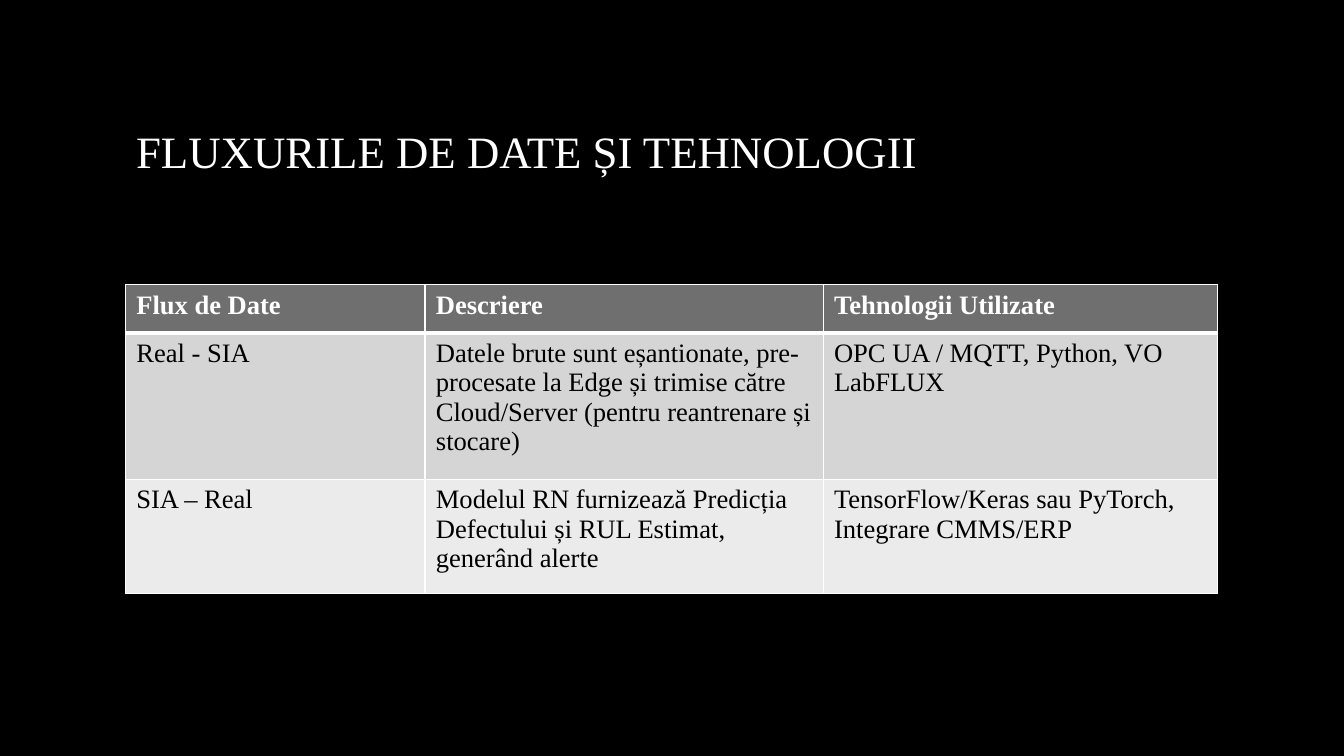
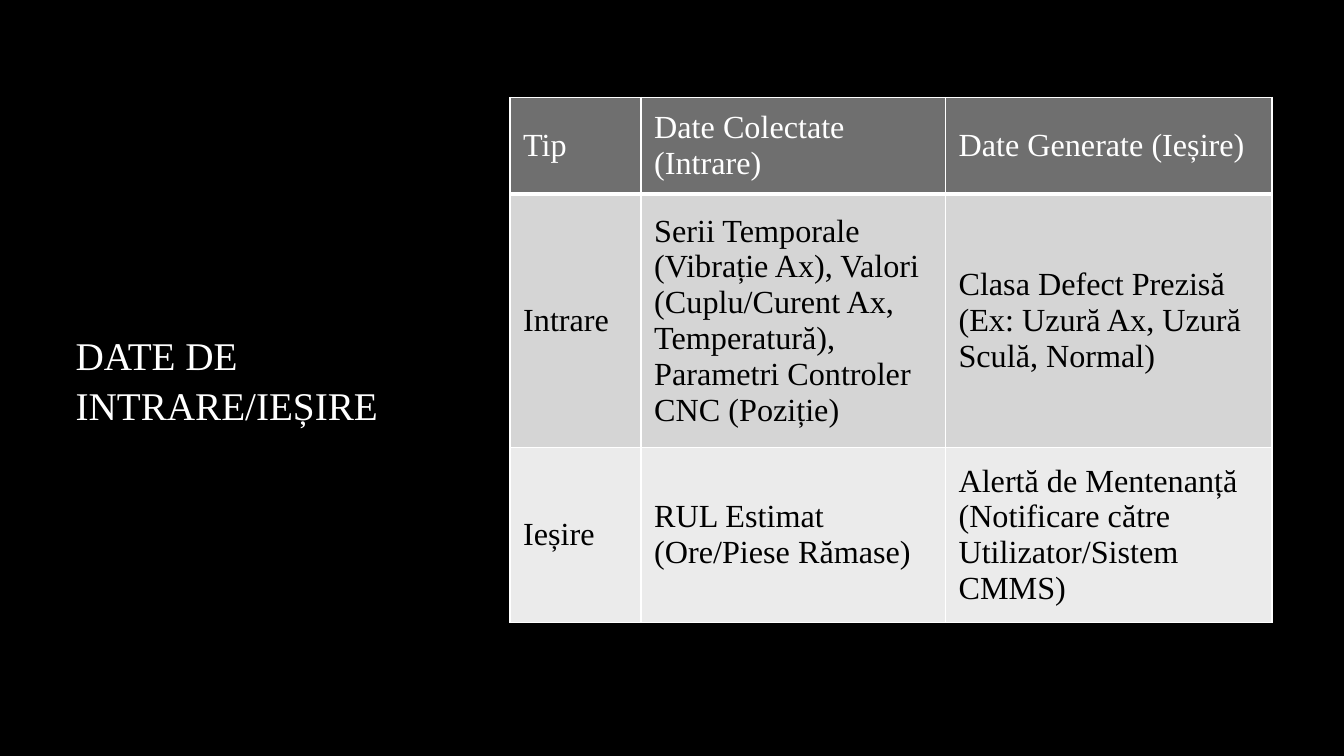
import pptx
import pptx.dml.color
import pptx.enum.text
import pptx.oxml
import pptx.oxml.ns
import pptx.util

Pt = pptx.util.Pt
ANCHOR = pptx.enum.text.MSO_ANCHOR


def color(value):
    return pptx.dml.color.RGBColor.from_string(value)


class TableDeck:
    """Holds the deck style and the current page, and adds titles and tables to it."""

    FONT = "Times New Roman"
    BLACK, WHITE = "000000", "FFFFFF"
    ROW_FILLS = ("6F6F6F", "D5D5D5", "EBEBEB")
    THIN, THICK = 1, 3

    def __init__(self):
        self.deck = pptx.Presentation()
        self.deck.slide_width, self.deck.slide_height = Pt(960), Pt(540)
        fill = self.deck.slide_master.background.fill
        fill.solid()
        fill.fore_color.rgb = color(self.BLACK)
        self.page = None

    def add_page(self):
        title_only = self.deck.slide_layouts[5]
        self.page = self.deck.slides.add_slide(title_only)

    def style(self, para, size, ink, bold=False):
        para.alignment = pptx.enum.text.PP_ALIGN.LEFT
        font = para.font
        font.name, font.size, font.bold = self.FONT, Pt(size), bold
        font.color.rgb = color(ink)

    def add_title(self, text, place, size):
        box = self.page.shapes.title
        box.left, box.top, box.width, box.height = map(Pt, place)
        frame = box.text_frame
        frame.text = text
        frame.word_wrap = True
        frame.auto_size = pptx.enum.text.MSO_AUTO_SIZE.NONE
        frame.vertical_anchor = ANCHOR.MIDDLE
        para = frame.paragraphs[0]
        para.line_spacing = 1.08
        self.style(para, size, self.WHITE)

    def add_borders(self, cell, top, bottom):
        properties = cell._tc.get_or_add_tcPr()
        sides = {"lnL": self.THIN, "lnR": self.THIN, "lnT": top, "lnB": bottom}
        for index, (side, width) in enumerate(sides.items()):
            line = pptx.oxml.parse_xml(
                f'<a:{side} {pptx.oxml.ns.nsdecls("a")} w="{Pt(width)}">'
                f'<a:solidFill><a:srgbClr val="{self.WHITE}"/></a:solidFill></a:{side}>'
            )
            properties.insert(index, line)

    def add_table(self, corner, widths, heights, rows, size, insets, anchor, bold_header):
        left, top = corner
        frame = self.page.shapes.add_table(
            len(heights), len(widths), Pt(left), Pt(top), Pt(sum(widths)), Pt(sum(heights))
        )
        table = frame.table
        table.first_row = table.horz_banding = False
        for column, width in zip(table.columns, widths):
            column.width = Pt(width)
        for row, height in zip(table.rows, heights):
            row.height = Pt(height)
        for index, texts in enumerate(rows):
            header = index == 0
            for column, text in enumerate(texts):
                cell = table.cell(index, column)
                cell.text = text
                cell.vertical_anchor = anchor
                cell.margin_left = cell.margin_right = Pt(insets[0])
                cell.margin_top = cell.margin_bottom = Pt(insets[1])
                cell.fill.solid()
                cell.fill.fore_color.rgb = color(self.ROW_FILLS[index])
                self.add_borders(
                    cell,
                    top=self.THICK if index == 1 else self.THIN,
                    bottom=self.THICK if header else self.THIN,
                )
                self.style(
                    cell.text_frame.paragraphs[0],
                    size,
                    self.WHITE if header else self.BLACK,
                    header and bold_header,
                )


def main():
    slides = TableDeck()

    slides.add_page()
    slides.add_title("FLUXURILE DE DATE ȘI TEHNOLOGII", (90, 48, 780, 116), 32)
    slides.add_table(
        corner=(89.6, 203.5),
        widths=(214, 284.4, 281.6),
        heights=(34.6, 104.4, 81.2),
        rows=(
            ("Flux de Date", "Descriere", "Tehnologii Utilizate"),
            (
                "Real - SIA",
                "Datele brute sunt eșantionate, pre-procesate la Edge și trimise către "
                "Cloud/Server (pentru reantrenare și stocare)",
                "OPC UA / MQTT, Python, VO LabFLUX",
            ),
            (
                "SIA – Real",
                "Modelul RN furnizează Predicția Defectului și RUL Estimat, generând alerte",
                "TensorFlow/Keras sau PyTorch, Integrare CMMS/ERP",
            ),
        ),
        size=19,
        insets=(7.8, 3.9),
        anchor=ANCHOR.TOP,
        bold_header=True,
    )

    slides.add_page()
    slides.add_title("DATE DE INTRARE/IEȘIRE", (46.8, 195, 286.5, 150), 28)
    slides.add_table(
        corner=(364.3, 69.6),
        widths=(93.6, 217.4, 233.3),
        heights=(69.2, 180.7, 125.3),
        rows=(
            ("Tip", "Date Colectate (Intrare)", "Date Generate (Ieșire)"),
            (
                "Intrare",
                "Serii Temporale (Vibrație Ax), Valori (Cuplu/Curent Ax, Temperatură), "
                "Parametri Controler CNC (Poziție)",
                "Clasa Defect Prezisă (Ex: Uzură Ax, Uzură Sculă, Normal)",
            ),
            (
                "Ieșire",
                "RUL Estimat (Ore/Piese Rămase)",
                "Alertă de Mentenanță (Notificare către Utilizator/Sistem CMMS)",
            ),
        ),
        size=23,
        insets=(9.4, 4.7),
        anchor=ANCHOR.MIDDLE,
        bold_header=False,
    )

    slides.deck.save("out.pptx")


if __name__ == "__main__":
    main()
